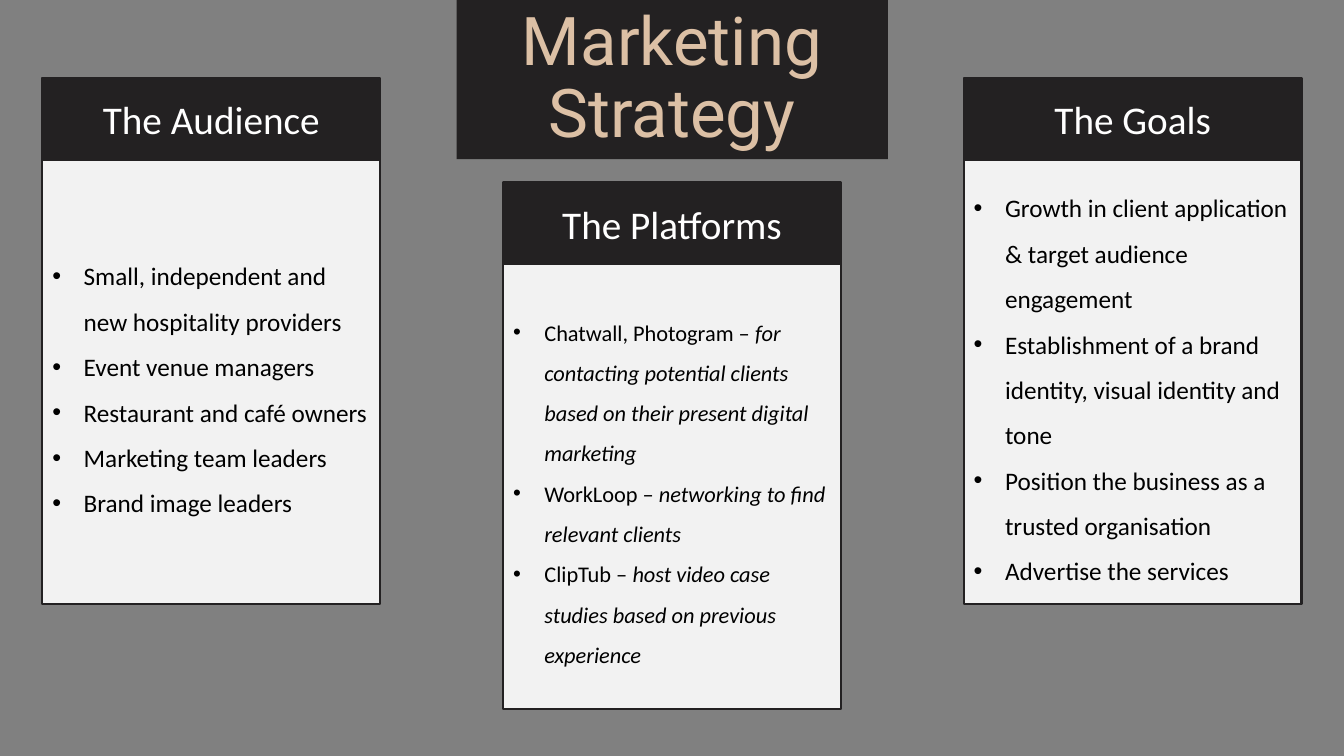
from pptx import Presentation
from pptx.dml.color import RGBColor
from pptx.enum import shapes, text
from pptx.oxml.ns import qn
from pptx.util import Cm, Pt
from lxml import etree

GREY = RGBColor(0x80, 0x80, 0x80)
CHARCOAL = RGBColor(0x23, 0x21, 0x22)
PALE = RGBColor(0xF2, 0xF2, 0xF2)
SAND = RGBColor(0xDC, 0xC0, 0xA5)
WHITE = RGBColor(0xFF, 0xFF, 0xFF)
BLACK = RGBColor(0, 0, 0)

CARD_LEFT, CARD_PITCH, CARD_WIDTH = 1.07, 11.61, 8.51
HEAD_HEIGHT, BODY_HEIGHT = 2.06, 11.2

# Each card: heading, top in cm, text size, bullets as (plain, italic)
CARDS = [
    ("The Audience", 1.96, 18, [
        ("Small, independent and new hospitality providers", ""),
        ("Event venue managers", ""),
        ("Restaurant and café owners", ""),
        ("Marketing team leaders", ""),
        ("Brand image leaders", ""),
    ]),
    ("The Platforms", 4.6, 16, [
        ("Chatwall, Photogram – ",
         "for contacting potential clients based on their present digital marketing"),
        ("WorkLoop – ", "networking to find relevant clients"),
        ("ClipTub – ", "host video case studies based on previous experience"),
    ]),
    ("The Goals", 1.96, 18, [
        ("Growth in client application & target audience engagement", ""),
        ("Establishment of a brand identity, visual identity and tone", ""),
        ("Position the business as a trusted organisation", ""),
        ("Advertise the services", ""),
    ]),
]


def add_panel(page, left, top, width, height, fill, outlined=True):
    panel = page.shapes.add_shape(shapes.MSO_SHAPE.RECTANGLE,
                                  Cm(left), Cm(top), Cm(width), Cm(height))
    panel.shadow.inherit = False
    panel.fill.solid()
    panel.fill.fore_color.rgb = fill
    if outlined:
        panel.line.color.rgb = CHARCOAL
        panel.line.width = Pt(1.5)
    else:
        panel.line.fill.background()
    return panel


def prepare_frame(box):
    frame = box.text_frame
    frame.word_wrap = True
    frame.vertical_anchor = text.MSO_ANCHOR.MIDDLE
    return frame


def style(para, font_name, size, color, align):
    para.alignment = align
    para.font.name = font_name
    para.font.size = Pt(size)
    para.font.color.rgb = color


def set_heading(box, words, font_name, size, color):
    para = prepare_frame(box).paragraphs[0]
    para.text = words
    style(para, font_name, size, color, text.PP_ALIGN.CENTER)
    return para


def add_bullet(para):
    props = para._p.get_or_add_pPr()
    props.set("marL", str(Cm(0.79)))
    props.set("indent", str(-Cm(0.79)))
    font = etree.Element(qn("a:buFont"), typeface="Arial")
    mark = etree.Element(qn("a:buChar"), char="•")
    # Bullet elements come before the default run properties
    defaults = props.find(qn("a:defRPr"))
    defaults.addprevious(font)
    defaults.addprevious(mark)


def fill_bullets(box, size, bullets):
    frame = prepare_frame(box)
    for index, (plain, italic) in enumerate(bullets):
        para = frame.add_paragraph() if index else frame.paragraphs[0]
        style(para, "Calibri", size, BLACK, text.PP_ALIGN.LEFT)
        para.line_spacing = 1.5
        add_bullet(para)
        para.add_run().text = plain
        if italic:
            span = para.add_run()
            span.text = italic
            span.font.italic = True


def add_title(page):
    add_panel(page, 11.51, 0, 10.87, 4.01, CHARCOAL, outlined=False)
    box = page.shapes.add_textbox(Cm(12.17), Cm(0), Cm(9.53), Cm(4.01))
    para = set_heading(box, "Marketing Strategy", "Roboto", 48, SAND)
    para.line_spacing = 0.9


def add_card(page, left, top, heading, size, bullets):
    body = add_panel(page, left, top + HEAD_HEIGHT, CARD_WIDTH, BODY_HEIGHT, PALE)
    fill_bullets(body, size, bullets)
    head = add_panel(page, left, top, CARD_WIDTH, HEAD_HEIGHT, CHARCOAL)
    set_heading(head, heading, "Calibri", 28, WHITE)


def main():
    deck = Presentation()
    deck.slide_width, deck.slide_height = Cm(33.87), Cm(19.05)
    page = deck.slides.add_slide(deck.slide_layouts[6])
    page.background.fill.solid()
    page.background.fill.fore_color.rgb = GREY

    # Title band, then the three cards from left to right
    add_title(page)
    for column, (heading, top, size, bullets) in enumerate(CARDS):
        add_card(page, CARD_LEFT + column * CARD_PITCH, top, heading, size, bullets)

    deck.save("out.pptx")


if __name__ == "__main__":
    main()
